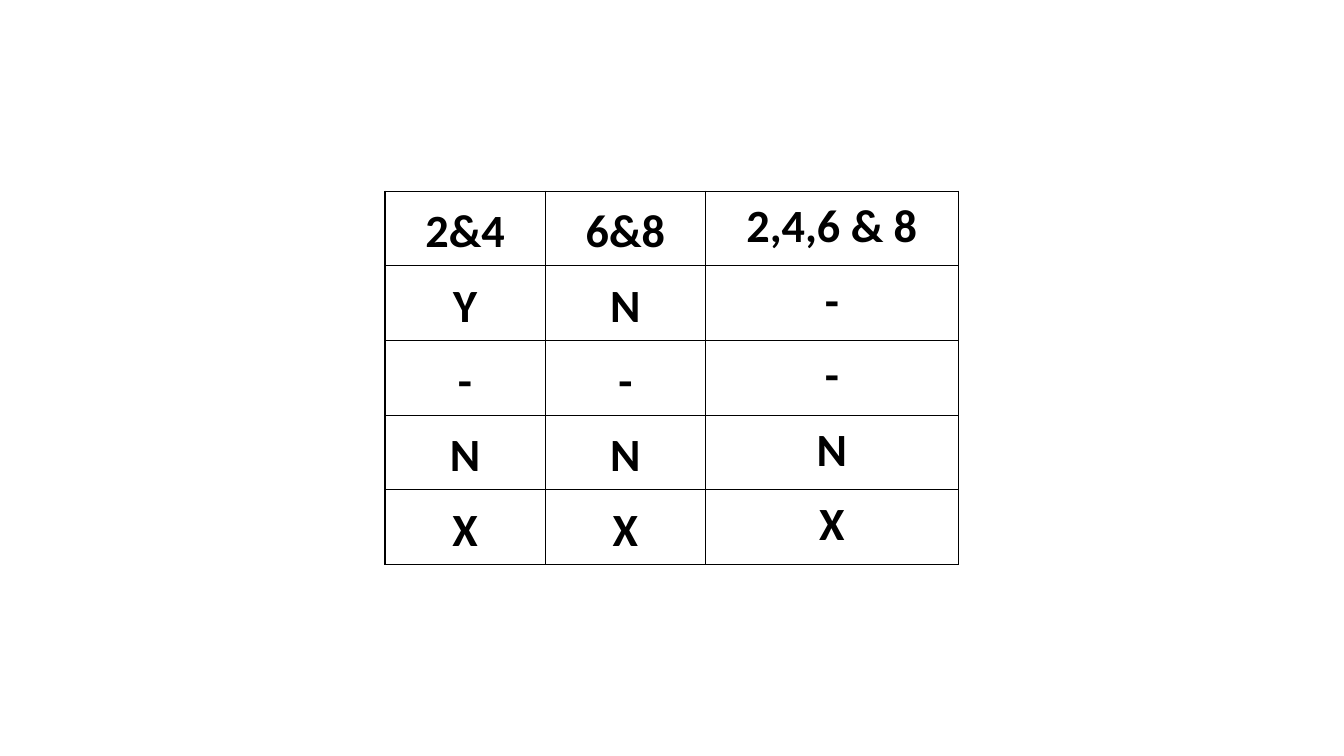
from lxml.etree import SubElement
from pptx import Presentation
from pptx.dml.color import RGBColor
from pptx.enum.text import MSO_ANCHOR as Anchor, PP_ALIGN as Align
from pptx.oxml.ns import qn
from pptx.util import Cm, Pt

COLORS = {"ink": "000000"}
ROWS = [
    ("2&4", "6&8", "2,4,6 & 8"),
    ("Y", "N", "-"),
    ("-", "-", "-"),
    ("N", "N", "N"),
    ("X", "X", "X"),
]
COLUMN_WIDTHS = (4.04, 4.04, 6.37)
COLUMN_ANCHORS = (Anchor.MIDDLE, Anchor.MIDDLE, Anchor.TOP)
ROW_HEIGHT = 1.88


class TablePage:
    font_name = "Calibri"
    font_size = Pt(33)
    border_width = Pt(1)

    def __init__(self, deck):
        self.page = deck.slides.add_slide(deck.slide_layouts[6])

    def table(self, left, top, rows, widths, row_height, anchors):
        frame = self.page.shapes.add_table(
            len(rows), len(widths), Cm(left), Cm(top),
            Cm(sum(widths)), Cm(row_height * len(rows)))
        table = frame.table
        table.first_row = table.horz_banding = False
        for column, width in zip(table.columns, widths):
            column.width = Cm(width)
        for row, texts in zip(table.rows, rows):
            row.height = Cm(row_height)
            for cell, text, anchor in zip(row.cells, texts, anchors):
                self.cell(cell, text, anchor)

    def cell(self, cell, text, anchor):
        cell.text_frame.text = text
        cell.vertical_anchor = anchor
        cell.margin_left = cell.margin_right = Cm(0.58)
        cell.margin_top, cell.margin_bottom = Cm(0.08), Cm(0)
        self.borders(cell)
        cell.fill.background()
        para = cell.text_frame.paragraphs[0]
        para.alignment = Align.CENTER
        para.line_spacing = 1.07
        font = para.runs[0].font
        font.name, font.size, font.bold = self.font_name, self.font_size, True
        font.color.rgb = RGBColor.from_string(COLORS["ink"])

    def borders(self, cell):
        """Line all four sides; must run before the cell's fill is set."""
        properties = cell._tc.get_or_add_tcPr()
        for side in ("a:lnL", "a:lnR", "a:lnT", "a:lnB"):
            line = SubElement(properties, qn(side), w=str(self.border_width))
            fill = SubElement(line, qn("a:solidFill"))
            SubElement(fill, qn("a:srgbClr"), val=COLORS["ink"])


def main():
    deck = Presentation()
    deck.slide_width, deck.slide_height = Cm(33.87), Cm(19.05)
    TablePage(deck).table(9.7, 4.82, ROWS, COLUMN_WIDTHS, ROW_HEIGHT,
                          COLUMN_ANCHORS)
    deck.save("out.pptx")


if __name__ == "__main__":
    main()
